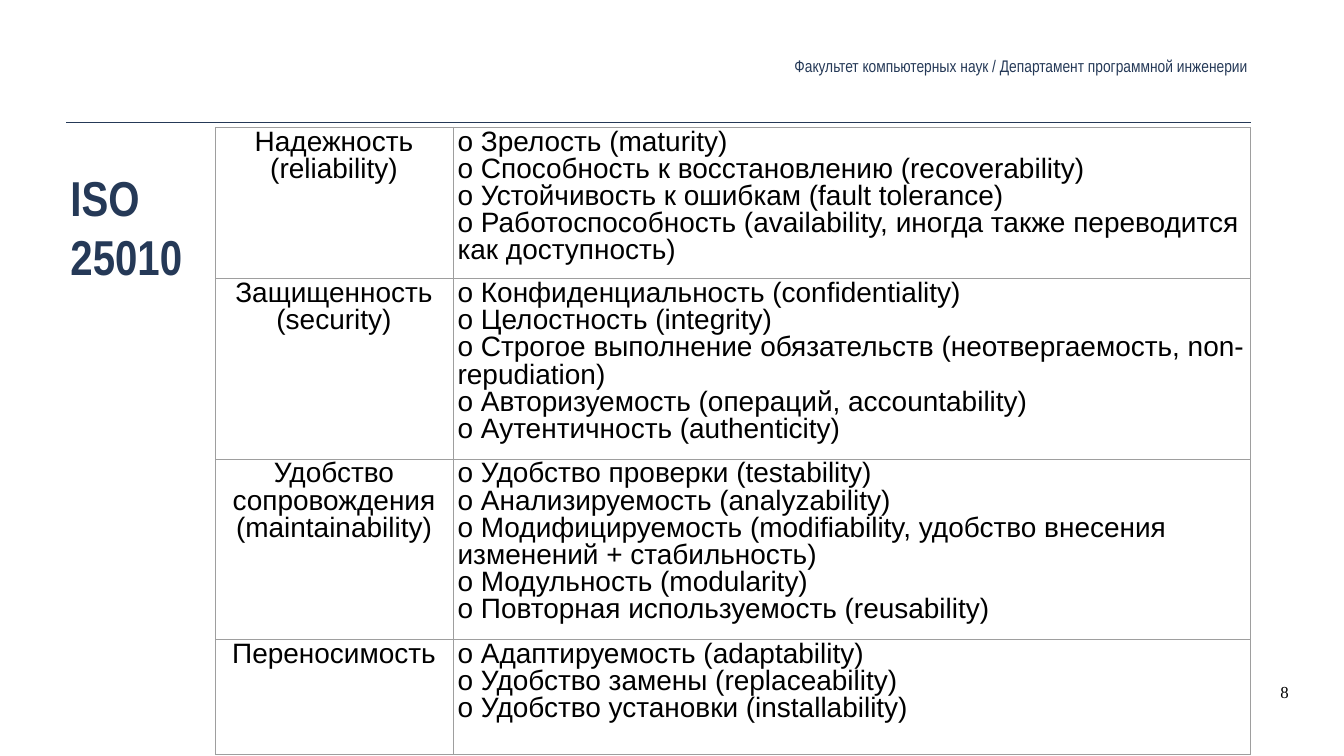
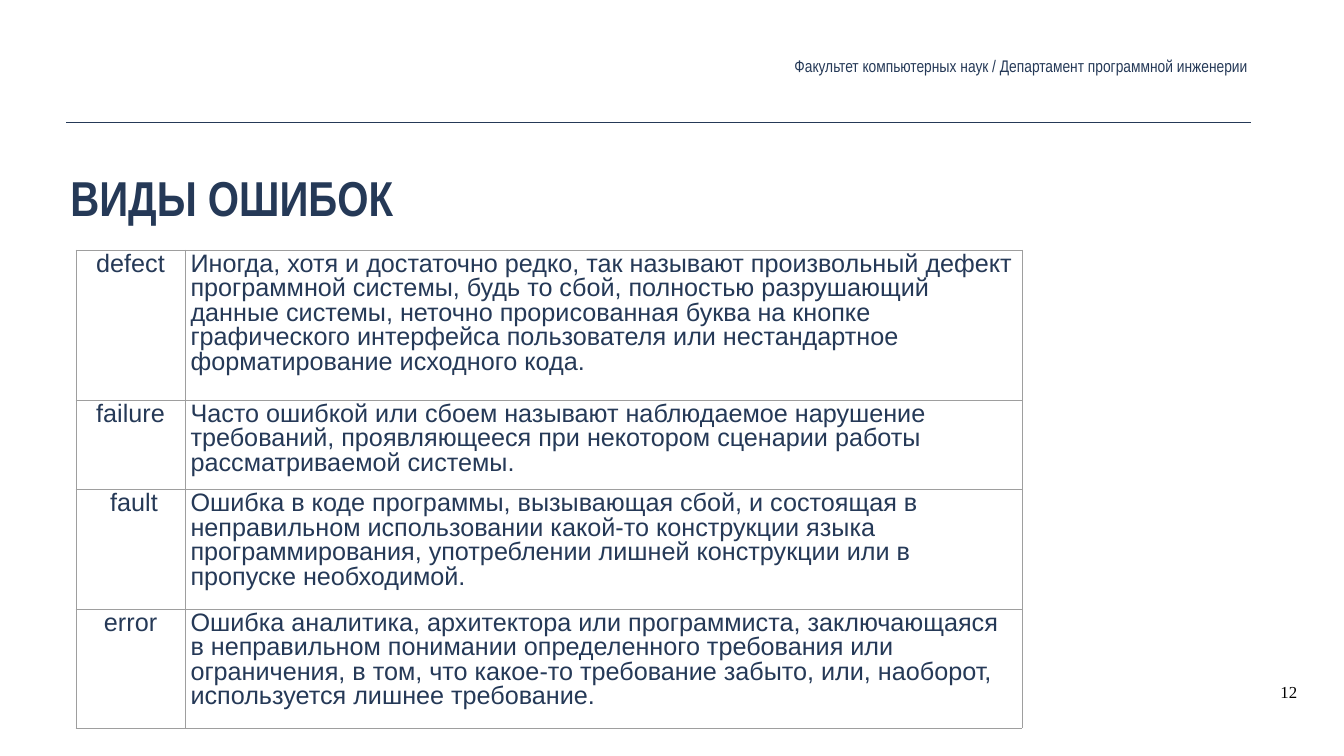
from dataclasses import dataclass
from itertools import product

from lxml import etree
from pptx import Presentation
from pptx.dml.color import RGBColor
from pptx.enum import shapes, text
from pptx.oxml import ns
from pptx.util import Cm, Pt


@dataclass(frozen=True)
class Theme:
    navy: str = "253957"
    black: str = "000000"
    border: str = "9E9E9E"
    title_font: str = "Arial Narrow"
    table_font: str = "Arial"
    number_font: str = "Times New Roman"
    title_size: int = 70
    small_size: int = 24
    rule_width: float = 1
    border_width: float = 0.17
    line_spacing: float = 0.87
    inset: float = 0.2


@dataclass(frozen=True)
class Box:
    left: float
    top: float
    width: float
    height: float

    def lengths(self):
        return Cm(self.left), Cm(self.top), Cm(self.width), Cm(self.height)


THEME = Theme()
SLIDE = Box(0, 0, 67.74, 38.1)
RULE = Box(3.33, 6.15, 59.74, 0)
HEADER = Box(31.5, 2.62, 31.57, 1.42)
TITLE = Box(3.35, 8.26, 59.31, 4.39)
NUMBER = Box(64.29, 34.21, 9.5, 1.19)
DEPARTMENT = "Факультет компьютерных наук / Департамент программной инженерии"

QUALITIES = [
    (["Надежность", "(reliability)"],
     ["o Зрелость (maturity)",
      "o Способность к восстановлению (recoverability)",
      "o Устойчивость к ошибкам (fault tolerance)",
      "o Работоспособность (availability, иногда также переводится как доступность)"]),
    (["Защищенность", "(security)"],
     ["o Конфиденциальность (confidentiality)",
      "o Целостность (integrity)",
      "o Строгое выполнение обязательств (неотвергаемость, non-repudiation)",
      "o Авторизуемость (операций, accountability)",
      "o Аутентичность (authenticity)"]),
    (["Удобство сопровождения", "(maintainability)"],
     ["o Удобство проверки (testability)",
      "o Анализируемость (analyzability)",
      "o Модифицируемость (modifiability, удобство внесения изменений + стабильность)",
      "o Модульность (modularity)",
      "o Повторная используемость (reusability)"]),
    (["Переносимость"],
     ["o Адаптируемость (adaptability)",
      "o Удобство замены (replaceability)",
      "o Удобство установки (installability)"]),
]

ERRORS = [
    (["defect"],
     ["Иногда, хотя и достаточно редко, так называют произвольный дефект "
      "программной системы, будь то сбой, полностью разрушающий данные системы, "
      "неточно прорисованная буква на кнопке графического интерфейса пользователя "
      "или нестандартное форматирование исходного кода."]),
    (["failure"],
     ["Часто ошибкой или сбоем называют наблюдаемое нарушение требований, "
      "проявляющееся при некотором сценарии работы рассматриваемой системы."]),
    ([" fault"],
     ["Ошибка в коде программы, вызывающая сбой, и состоящая в неправильном "
      "использовании какой-то конструкции языка программирования, употреблении "
      "лишней конструкции или в пропуске необходимой."]),
    (["error"],
     ["Ошибка аналитика, архитектора или программиста, заключающаяся в "
      "неправильном понимании определенного требования или ограничения, в том, "
      "что какое-то требование забыто, или, наоборот, используется лишнее "
      "требование."]),
]


def write_lines(frame, lines, font, size, color, bold=False,
                align=text.PP_ALIGN.LEFT, spacing=None):
    frame.word_wrap = True
    for index, line in enumerate(lines):
        paragraph = frame.add_paragraph() if index else frame.paragraphs[0]
        paragraph.alignment = align
        paragraph.line_spacing = spacing
        run = paragraph.add_run()
        run.text = line
        run.font.name = font
        run.font.size = Pt(size)
        run.font.bold = bold
        run.font.color.rgb = RGBColor.from_string(color)


def set_insets(frame, inset):
    frame.margin_left = frame.margin_right = Cm(inset)
    frame.margin_top = frame.margin_bottom = Cm(inset)


def add_rule(slide, box):
    left, top, width, height = box.lengths()
    rule = slide.shapes.add_connector(
        shapes.MSO_CONNECTOR.STRAIGHT, left, top, left + width, top + height)
    rule.line.width = Pt(THEME.rule_width)
    rule.line.color.rgb = RGBColor.from_string(THEME.navy)
    etree.SubElement(rule._element.spPr, ns.qn("a:effectLst"))


def add_title(slide, box, lines):
    title = slide.shapes.title
    title.left, title.top, title.width, title.height = box.lengths()
    frame = title.text_frame
    frame.auto_size = text.MSO_AUTO_SIZE.NONE
    frame.vertical_anchor = text.MSO_ANCHOR.TOP
    set_insets(frame, THEME.inset)
    write_lines(frame, lines, THEME.title_font, THEME.title_size, THEME.navy, bold=True)


def add_header(slide, box):
    frame = slide.shapes.add_textbox(*box.lengths()).text_frame
    frame.auto_size = text.MSO_AUTO_SIZE.SHAPE_TO_FIT_TEXT
    frame.vertical_anchor = text.MSO_ANCHOR.MIDDLE
    set_insets(frame, THEME.inset)
    write_lines(frame, [DEPARTMENT], THEME.title_font, THEME.small_size, THEME.navy,
                align=text.PP_ALIGN.RIGHT)


def add_number(slide, box, number):
    frame = slide.shapes.add_textbox(*box.lengths()).text_frame
    write_lines(frame, [str(number)], THEME.number_font, THEME.small_size, THEME.black)


def add_borders(cell):
    properties = cell._tc.get_or_add_tcPr()
    for index, side in enumerate(("a:lnL", "a:lnR", "a:lnT", "a:lnB")):
        line = etree.Element(ns.qn(side), w=str(Pt(THEME.border_width)))
        fill = etree.SubElement(line, ns.qn("a:solidFill"))
        etree.SubElement(fill, ns.qn("a:srgbClr"), val=THEME.border)
        properties.insert(index, line)


def add_term_table(slide, box, term_width, row_heights, rows, size, color):
    table = slide.shapes.add_table(len(rows), 2, *box.lengths()).table
    table.first_row = table.horz_banding = False
    for column, width in zip(table.columns, (term_width, box.width - term_width)):
        column.width = Cm(width)
    for row, height in zip(table.rows, row_heights):
        row.height = Cm(height)
    alignments = (text.PP_ALIGN.CENTER, text.PP_ALIGN.LEFT)
    for row, column in product(range(len(rows)), range(2)):
        cell = table.cell(row, column)
        cell.fill.background()
        add_borders(cell)
        write_lines(cell.text_frame, rows[row][column], THEME.table_font, size, color,
                    align=alignments[column], spacing=THEME.line_spacing)


def add_base_slide(presentation, title_lines, number):
    slide = presentation.slides.add_slide(presentation.slide_layouts[5])
    add_rule(slide, RULE)
    add_title(slide, TITLE, title_lines)
    add_header(slide, HEADER)
    add_number(slide, NUMBER, number)
    return slide


def add_quality_slide(presentation):
    slide = add_base_slide(presentation, ["ISO", "25010"], 8)
    add_term_table(slide, Box(10.85, 6.4, 52.14, 30.4), 11.96,
                   (7.16, 8.71, 8.71, 5.82), QUALITIES, 40, THEME.black)


def add_error_slide(presentation):
    slide = add_base_slide(presentation, ["ВИДЫ ОШИБОК"], 12)
    add_term_table(slide, Box(3.81, 12.6, 47.68, 24.11), 5.54,
                   (7.57, 4.5, 6.02, 6.02), ERRORS, 36, THEME.navy)


def main():
    presentation = Presentation()
    presentation.slide_width = Cm(SLIDE.width)
    presentation.slide_height = Cm(SLIDE.height)
    add_quality_slide(presentation)
    add_error_slide(presentation)
    presentation.save("out.pptx")


if __name__ == "__main__":
    main()
